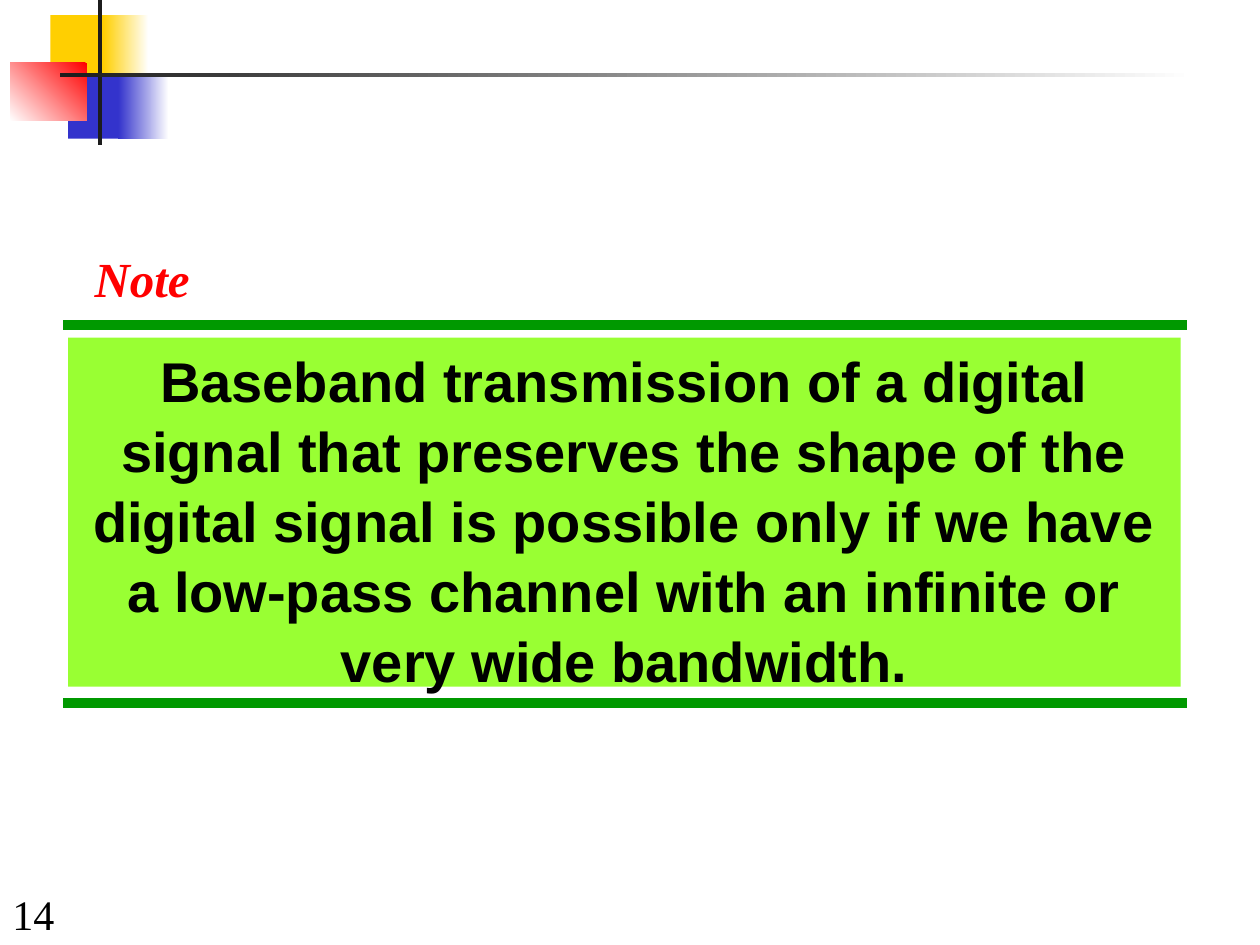
from lxml.etree import SubElement
from pptx import Presentation
from pptx.dml.color import RGBColor
from pptx.enum.shapes import MSO_CONNECTOR as Connector, MSO_SHAPE as Preset
from pptx.enum.text import MSO_ANCHOR as Anchor, MSO_AUTO_SIZE as AutoSize, PP_ALIGN as Align
from pptx.oxml.ns import qn
from pptx.util import Inches, Pt

COLORS = {
    "white": "FFFFFF", "black": "000000", "yellow": "FFCF01", "blue": "3333CC",
    "red": "FF0000", "ink": "1C1C1C", "rule": "009900", "panel": "99FF33",
}
HEADING = "Note"
STATEMENT = (
    "Baseband transmission of a digital signal that preserves the shape of the "
    "digital signal is possible only if we have a low-pass channel with an "
    "infinite or very wide bandwidth."
)
PAGE_NUMBER = "14"
ORNAMENT = [
    ((0.4, 0.12, 0.48, 0.52), ("yellow",), 0),
    ((0.82, 0.12, 0.36, 0.52), ("white", "yellow"), 180),
    ((0.54, 0.58, 0.46, 0.52), ("blue",), 0),
    ((0.94, 0.58, 0.4, 0.52), ("white", "blue"), 180),
    ((0.08, 0.5, 0.61, 0.46), ("red", "white"), 225),
    ((0.78, 0, 0.03, 1.15), ("ink",), 0),
    ((0.48, 0.58, 9, 0.03), ("white", "ink"), 180),
]
RULE_LEFT, RULE_RIGHT = 0.5, 9.42
RULE_TOPS = (2.58, 5.58)
PANEL_BOX = (0.54, 2.68, 8.83, 2.77)
HEADING_BOX = (0.65, 1.92, 0.96, 0.57)
PAGE_BOX = (0, 7, 2.08, 0.5)
HEADING_FONT = {"name": "Times New Roman", "size": Pt(28), "bold": True, "italic": True}
STATEMENT_FONT = {"name": "Arial", "size": Pt(32), "bold": True}
PAGE_FONT = {"name": "Times New Roman", "size": Pt(24)}


def rgb(color):
    """Return the named palette colour."""
    return RGBColor.from_string(COLORS[color])


def add_block(slide, box, colors, angle=0):
    """Add a borderless rectangle with a solid or two-colour gradient fill."""
    block = slide.shapes.add_shape(Preset.RECTANGLE, *map(Inches, box))
    block.shadow.inherit = False
    block.line.fill.background()
    if len(colors) == 1:
        block.fill.solid()
        block.fill.fore_color.rgb = rgb(colors[0])
    else:
        block.fill.gradient()
        block.fill.gradient_angle = angle
        for stop, color, position in zip(block.fill.gradient_stops, colors, (0, 1)):
            stop.color.rgb = rgb(color)
            stop.position = position
    return block


def add_rule(slide, top):
    """Add one thick horizontal rule."""
    ends = map(Inches, (RULE_LEFT, top, RULE_RIGHT, top))
    rule = slide.shapes.add_connector(Connector.STRAIGHT, *ends)
    rule.line.color.rgb = rgb("rule")
    rule.line.width = Pt(6)
    SubElement(rule._element.spPr, qn("a:effectLst"))


def write(holder, text, font, color, align=Align.LEFT, anchor=Anchor.TOP, wrap=True):
    """Write one formatted paragraph into a shape."""
    frame = holder.text_frame
    frame.text = text
    frame.auto_size = AutoSize.NONE
    frame.word_wrap = wrap
    frame.vertical_anchor = anchor
    paragraph = frame.paragraphs[0]
    paragraph.alignment = align
    for attribute, value in font.items():
        setattr(paragraph.runs[0].font, attribute, value)
    paragraph.runs[0].font.color.rgb = rgb(color)
    return paragraph


def main():
    """Build the note slide and save it."""
    deck = Presentation()
    deck.slide_width, deck.slide_height = Inches(10), Inches(7.5)
    slide = deck.slides.add_slide(deck.slide_layouts[5])

    page = slide.shapes.add_textbox(*map(Inches, PAGE_BOX))
    write(page, PAGE_NUMBER, PAGE_FONT, "black", anchor=Anchor.BOTTOM)
    for box, colors, angle in ORNAMENT:
        add_block(slide, box, colors, angle)
    for top in RULE_TOPS:
        add_rule(slide, top)

    panel = add_block(slide, PANEL_BOX, ("panel",))
    statement = write(panel, STATEMENT, STATEMENT_FONT, "black", Align.CENTER)
    statement.line_spacing = 1.04

    heading = slide.shapes.title
    heading.left, heading.top, heading.width, heading.height = map(Inches, HEADING_BOX)
    write(heading, HEADING, HEADING_FONT, "red", wrap=False)

    deck.save("out.pptx")


if __name__ == "__main__":
    main()
